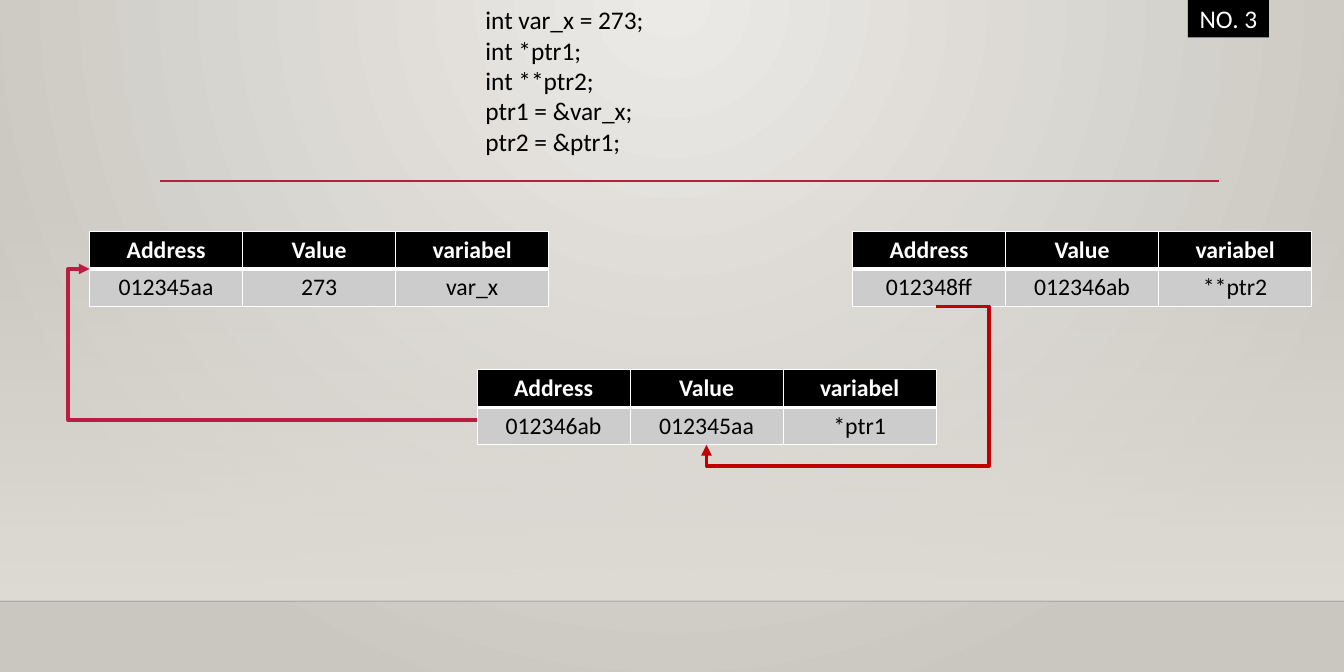
from dataclasses import dataclass

from lxml.etree import SubElement
from pptx import Presentation
from pptx.dml.color import RGBColor
from pptx.enum.shapes import MSO_CONNECTOR, MSO_SHAPE
from pptx.enum.text import MSO_ANCHOR, MSO_AUTO_SIZE, PP_ALIGN
from pptx.oxml.ns import qn
from pptx.util import Inches, Pt


@dataclass(frozen=True)
class Theme:
    font: str = "Calibri"
    code_size: float = 21.4
    table_size: float = 20
    black: RGBColor = RGBColor(0x00, 0x00, 0x00)
    white: RGBColor = RGBColor(0xFF, 0xFF, 0xFF)
    crimson: RGBColor = RGBColor(0xB7, 0x1E, 0x42)
    red: RGBColor = RGBColor(0xC0, 0x00, 0x00)
    cell: RGBColor = RGBColor(0xCC, 0xCC, 0xCC)
    floor: RGBColor = RGBColor(0xDF, 0xDB, 0xD5)
    glow: RGBColor = RGBColor(0xEC, 0xEA, 0xE7)
    edge: RGBColor = RGBColor(0xCA, 0xC7, 0xC1)


theme = Theme()


def add_run(p, text, size, color, bold=False):
    r = p.add_run()
    r.text = text
    r.font.name = theme.font
    r.font.size = Pt(size)
    r.font.color.rgb = color
    r.font.bold = bold


def add_line(kind, start, end, color, width):
    line = s.shapes.add_connector(kind, *map(Inches, start + end))
    line.line.color.rgb = color
    line.line.width = Pt(width)
    SubElement(line._element.spPr, qn("a:effectLst"))
    return line


prs = Presentation()
prs.slide_width, prs.slide_height = Inches(15.75), Inches(7.87)
s = prs.slides.add_slide(prs.slide_layouts[6])

# Background: circular glow from the top centre
fill = s.background.fill
fill.gradient()
for stop, color in zip(fill.gradient_stops, (theme.glow, theme.edge)):
    stop.color.rgb = color
grad = next(s._element.iter(qn("a:gradFill")))
grad.remove(grad.find(qn("a:lin")))
glow = SubElement(grad, qn("a:path"), path="circle")
SubElement(glow, qn("a:fillToRect"), l="43000", t="0", r="43000", b="100000")

# Fading wall above the floor line
wall = s.shapes.add_shape(MSO_SHAPE.RECTANGLE, 0, Inches(2.32), Inches(15.75), Inches(4.71))
wall.shadow.inherit = False
wall.line.fill.background()
wall.fill.gradient()
wall.fill.gradient_angle = 270
for stop in wall.fill.gradient_stops:
    stop.color.rgb = theme.floor
SubElement(next(wall._element.spPr.iter(qn("a:srgbClr"))), qn("a:alpha"), val="0")

floor_line = add_line(MSO_CONNECTOR.STRAIGHT, (0, 7.04), (15.75, 7.04), theme.black, 1)
SubElement(next(floor_line._element.spPr.iter(qn("a:srgbClr"))), qn("a:alpha"), val="20000")
add_line(MSO_CONNECTOR.STRAIGHT, (1.88, 2.12), (14.29, 2.12), theme.crimson, 2.5)

# Number tag
tag = s.shapes.add_shape(MSO_SHAPE.RECTANGLE, Inches(13.92), Inches(-0.02), Inches(0.95), Inches(0.46))
tag.shadow.inherit = False
tag.fill.solid()
tag.fill.fore_color.rgb = theme.black
tag.line.fill.background()
tf = tag.text_frame
tf.auto_size = MSO_AUTO_SIZE.SHAPE_TO_FIT_TEXT
tf.vertical_anchor = MSO_ANCHOR.MIDDLE
tf.paragraphs[0].alignment = PP_ALIGN.CENTER
add_run(tf.paragraphs[0], "NO. 3", theme.code_size, theme.white)

# Code
code = ("int var_x = 273;", "int *ptr1;", "int **ptr2;", "ptr1 = &var_x;", "ptr2 = &ptr1;")
tf = s.shapes.add_textbox(Inches(5.59), 0, Inches(6.19), Inches(1.9)).text_frame
tf.word_wrap = True
tf.auto_size = MSO_AUTO_SIZE.SHAPE_TO_FIT_TEXT
for i, statement in enumerate(code):
    p = tf.add_paragraph() if i else tf.paragraphs[0]
    add_run(p, statement, theme.code_size, theme.black)

# Memory tables
header = ("Address", "Value", "variabel")
memory = (
    (1.05, 2.71, ("012345aa", "273", "var_x")),
    (5.59, 4.33, ("012346ab", "012345aa", "*ptr1")),
    (9.99, 2.71, ("012348ff", "012346ab", "**ptr2")),
)
row_styles = (
    (theme.black, theme.white, True, {"lnL": 1, "lnR": 1, "lnT": 1, "lnB": 3}),
    (theme.cell, theme.black, False, {"lnL": 1, "lnR": 1, "lnT": 3, "lnB": 1}),
)
for left, top, values in memory:
    table = s.shapes.add_table(2, 3, Inches(left), Inches(top), Inches(5.38), Inches(0.88)).table
    for row, texts, (back, color, bold, borders) in zip(table.rows, (header, values), row_styles):
        row.height = Inches(0.44)
        for cell, text in zip(row.cells, texts):
            tcPr = cell._tc.get_or_add_tcPr()
            for side, width in borders.items():
                ln = SubElement(tcPr, qn(f"a:{side}"), w=str(Pt(width)))
                SubElement(SubElement(ln, qn("a:solidFill")), qn("a:srgbClr"), val=str(theme.white))
            cell.fill.solid()
            cell.fill.fore_color.rgb = back
            p = cell.text_frame.paragraphs[0]
            p.alignment = PP_ALIGN.CENTER
            add_run(p, text, theme.table_size, color, bold)

# Pointer arrows; bends are thousandths of a percent of width, then height
pointers = (
    ((5.59, 4.92), (1.05, 3.15), theme.crimson, "bentConnector3", {"adj1": 105500}),
    ((10.97, 3.59), (8.28, 5.21), theme.red, "bentConnector4", {"adj1": -23100, "adj2": 115400}),
)
for start, end, color, preset, bends in pointers:
    arrow = add_line(MSO_CONNECTOR.ELBOW, start, end, color, 3)
    SubElement(arrow.line._get_or_add_ln(), qn("a:tailEnd"), type="triangle")
    geom = arrow._element.spPr.find(qn("a:prstGeom"))
    geom.set("prst", preset)
    guides = geom.find(qn("a:avLst"))
    for name, value in bends.items():
        SubElement(guides, qn("a:gd"), name=name, fmla=f"val {value}")

prs.save("out.pptx")
